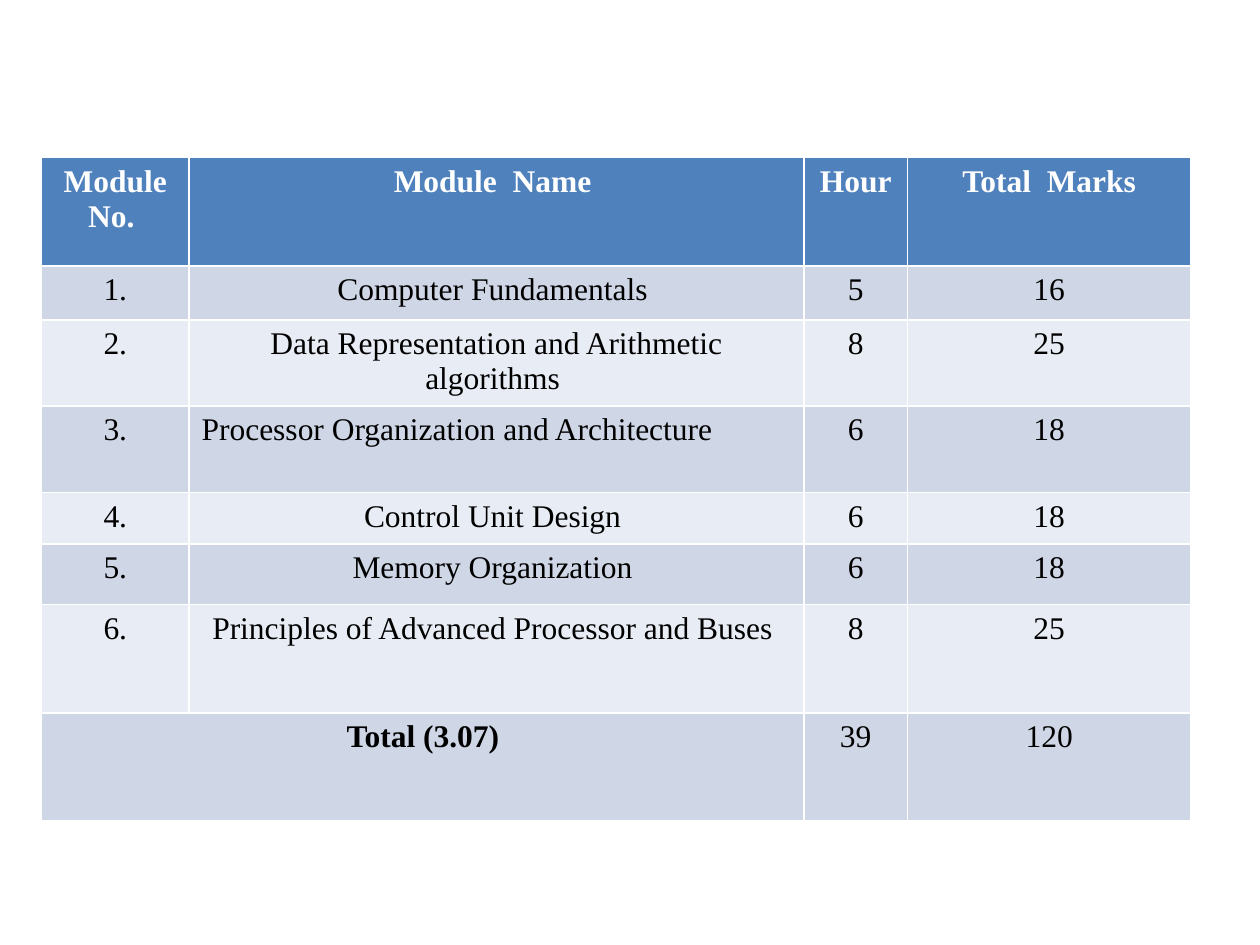
"""Build a slide with a table of course modules, hours and marks."""
from pptx import Presentation
from pptx.dml.color import RGBColor
from pptx.enum.text import PP_ALIGN
from pptx.util import Cm, Pt

LEFT, MID = PP_ALIGN.LEFT, PP_ALIGN.CENTER
BLANK = 6
HEAD, BANDS = "4F81BD", ("E8ECF4", "CFD7E7")
WIDTHS = (2.97, 12.4, 2.08, 5.72)
HEIGHTS = (2.18, 1.09, 1.73, 1.75, 1.04, 1.22, 2.18, 2.18)
ROWS = (
    ("Module No. ", "Module  Name ", "Hour", "Total  Marks"),
    ("1.", "Computer Fundamentals ", "5", "16"),
    ("2.", "Data Representation and Arithmetic algorithms ", "8", "25"),
    ("3.", "Processor Organization and Architecture ", "6", "18"),
    ("4.", "Control Unit Design ", "6", "18"),
    ("5.", "Memory Organization ", "6", "18"),
    ("6.", "Principles of Advanced Processor and Buses ", "8", "25"),
    ("Total (3.07)", "", "39", "120"),
)


def color(code):
    return RGBColor.from_string(code)


deck = Presentation()
deck.slide_width, deck.slide_height = Cm(25.4), Cm(19.05)
slide = deck.slides.add_slide(deck.slide_layouts[BLANK])

frame = slide.shapes.add_table(
    len(ROWS), len(WIDTHS), Cm(0.84), Cm(3.18), Cm(sum(WIDTHS)), Cm(sum(HEIGHTS))
)
table = frame.table
for col, width in zip(table.columns, WIDTHS):
    col.width = Cm(width)
for row, height in zip(table.rows, HEIGHTS):
    row.height = Cm(height)

last = len(ROWS) - 1
table.cell(last, 0).merge(table.cell(last, 1))

for r, words in enumerate(ROWS):
    for c, text in enumerate(words):
        cell = table.cell(r, c)
        cell.fill.solid()
        cell.fill.fore_color.rgb = color(BANDS[r % 2] if r else HEAD)
        if cell.is_spanned:
            continue
        para = cell.text_frame.paragraphs[0]
        para.alignment = LEFT if (r, c) == (3, 1) else MID
        run = para.add_run()
        run.text = text
        style = {
            "name": "Times New Roman",
            "size": Pt(18),
            "bold": r == 0 or (r, c) == (last, 0),
        }
        for key, value in style.items():
            setattr(run.font, key, value)
        run.font.color.rgb = color("000000" if r else "FFFFFF")

deck.save("out.pptx")
